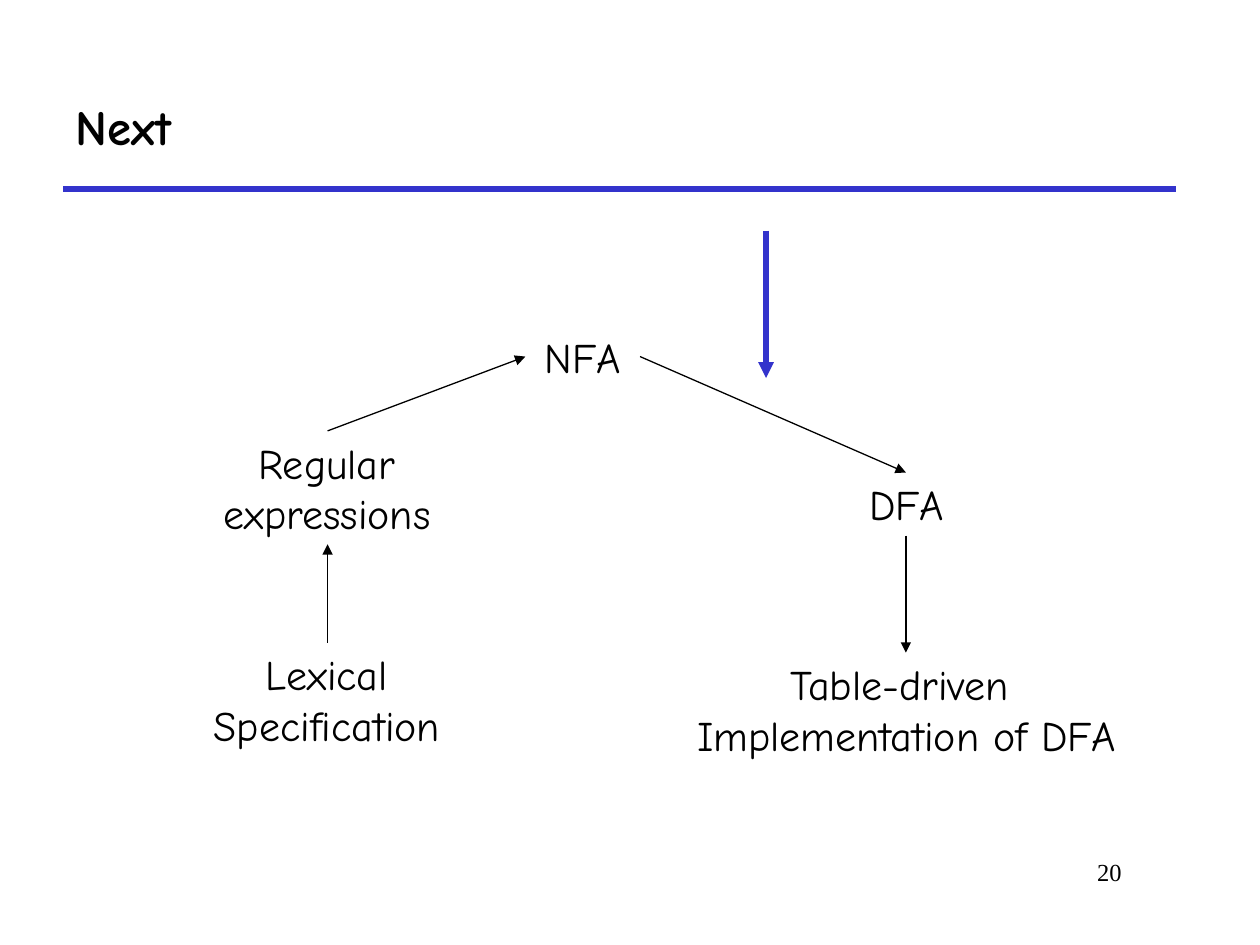
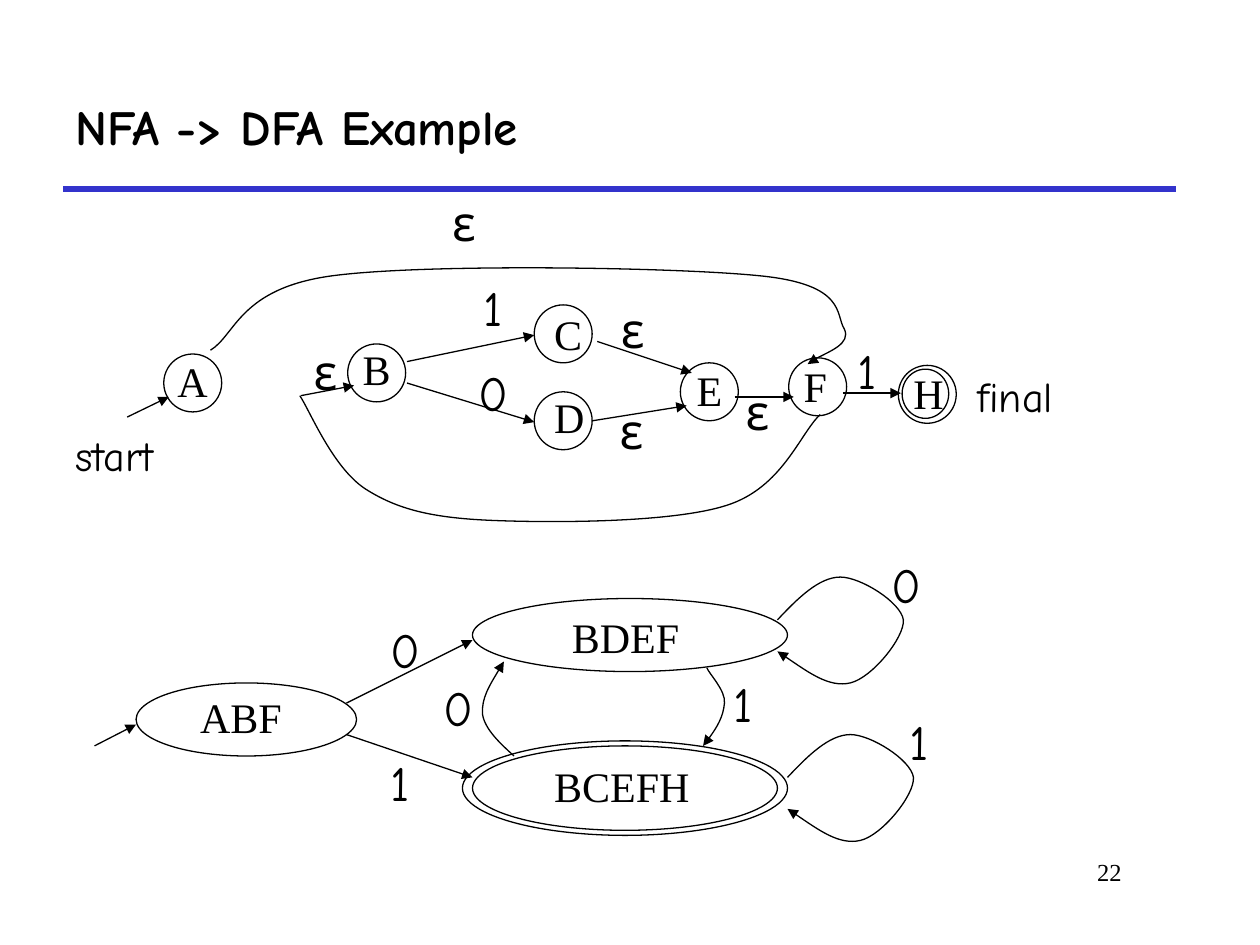
from lxml.etree import SubElement
from pptx import Presentation
from pptx.dml.color import RGBColor
from pptx.enum.shapes import MSO_CONNECTOR, MSO_SHAPE
from pptx.enum.text import MSO_ANCHOR, PP_ALIGN
from pptx.oxml.ns import qn
from pptx.util import Inches, Pt

COLORS = {"ink": "000000", "accent": "3333CC"}
HAND, SERIF = "Comic Neue", "Times New Roman"
WIDTH, HEIGHT = Inches(10), Inches(7.5)
COLUMN = WIDTH / 10
ROW = HEIGHT / 7.5
CIRCLE = 0.46
SYMBOL_WIDTHS = {"0": 0.44, "1": 0.38, "ε": 0.37}


def across(columns):
    return round(columns * COLUMN)


def down(rows):
    return round(rows * ROW)


def add_text(page, words, left, top, width, height, font=HAND, size=24,
             align=PP_ALIGN.LEFT, anchor=MSO_ANCHOR.TOP, bold=False, wrap=False):
    box = page.shapes.add_textbox(across(left), down(top), across(width), down(height))
    frame = box.text_frame
    frame.word_wrap = wrap
    frame.vertical_anchor = anchor
    frame.text = words
    for para in frame.paragraphs:
        para.alignment = align
        para.font.name = font
        para.font.size = Pt(size)
        para.font.bold = bold
        para.font.color.rgb = RGBColor.from_string(COLORS["ink"])


def style_line(line, color="ink", weight=0.75, arrow=True):
    line.color.rgb = RGBColor.from_string(COLORS[color])
    line.width = Pt(weight)
    if arrow:
        SubElement(line._get_or_add_ln(), qn("a:tailEnd"), type="triangle")


def add_line(page, start, end, color="ink", weight=0.75, arrow=True):
    connector = page.shapes.add_connector(
        MSO_CONNECTOR.STRAIGHT, across(start[0]), down(start[1]), across(end[0]), down(end[1]))
    style_line(connector.line, color, weight, arrow)
    SubElement(connector._element.spPr, qn("a:effectLst"))


def add_curve(page, points, arrow=True):
    first, *rest = [(across(x), down(y)) for x, y in points]
    builder = page.shapes.build_freeform(*first)
    builder.add_line_segments(rest, close=False)
    curve = builder.convert_to_shape()
    curve.shadow.inherit = False
    curve.fill.background()
    style_line(curve.line, arrow=arrow)
    segments = list(curve._element.iter(qn("a:lnTo")))
    for index in range(0, len(segments), 3):
        bezier = segments[index]
        bezier.tag = qn("a:cubicBezTo")
        for extra in segments[index + 1:index + 3]:
            bezier.append(extra[0])
            extra.getparent().remove(extra)


def add_ellipse(page, left, top, width, height):
    ellipse = page.shapes.add_shape(
        MSO_SHAPE.OVAL, across(left), down(top), across(width), down(height))
    ellipse.shadow.inherit = False
    ellipse.fill.background()
    style_line(ellipse.line, arrow=False)


def add_state(page, name, outline, label):
    add_ellipse(page, *outline)
    add_text(page, name, *label, 0.51, font=SERIF)


def add_symbol(page, symbol, left, top):
    add_text(page, symbol, left, top, SYMBOL_WIDTHS[symbol], 0.57, size=28)


def add_page(deck, title, number):
    page = deck.slides.add_slide(deck.slide_layouts[6])
    add_line(page, (0.5, 1.5), (9.33, 1.5), "accent", 3, arrow=False)
    add_text(page, str(number), 7.58, 6.75, 1.42, 0.5, SERIF, 14, PP_ALIGN.RIGHT, wrap=True)
    add_text(page, title, 0.5, 0.5, 8.83, 1, size=28,
             anchor=MSO_ANCHOR.MIDDLE, bold=True, wrap=True)
    return page


def build_roadmap(deck):
    page = add_page(deck, "Next", 20)
    stages = [
        ("Regular\nexpressions", 1.58, 3.42, 2.03, 0.9),
        ("NFA", 4.17, 2.58, 0.91, 0.5),
        ("DFA", 6.75, 3.75, 0.89, 0.5),
        ("Lexical\nSpecification", 1.46, 5.1, 2.27, 0.9),
        ("Table-driven \nImplementation of DFA", 5.26, 5.18, 3.87, 0.9),
    ]
    for stage in stages:
        add_text(page, *stage, align=PP_ALIGN.CENTER)
    steps = [
        ((2.6, 5.1), (2.6, 4.32)),
        ((2.6, 3.42), (4.17, 2.83)),
        ((5.08, 2.83), (7.19, 3.75)),
        ((7.19, 4.25), (7.19, 5.18)),
    ]
    for start, end in steps:
        add_line(page, start, end)
    add_line(page, (6.08, 1.83), (6.08, 3), "accent", 3)


def draw_nfa(page):
    states = [
        ("A", 1.3, 2.81, 1.31, 2.77, 0.44),
        ("B", 2.76, 2.73, 2.78, 2.68, 0.42),
        ("C", 4.24, 2.42, 4.3, 2.4, 0.43),
        ("D", 4.24, 3.11, 4.3, 3.06, 0.45),
        ("E", 5.4, 2.88, 5.43, 2.84, 0.41),
        ("F", 6.26, 2.84, 6.28, 2.81, 0.39),
        ("H", 7.13, 2.9, 7.15, 2.87, 0.44),
    ]
    for name, left, top, *label in states:
        add_state(page, name, (left, top, CIRCLE, CIRCLE), label)
    add_ellipse(page, 7.16, 2.93, 0.37, 0.39)

    moves = [
        ((1.01, 3.31), (1.34, 3.15)),
        ((2.39, 3.14), (2.81, 3.06)),
        ((3.23, 2.87), (4.24, 2.66)),
        ((3.23, 3.04), (4.24, 3.35)),
        ((4.74, 2.71), (5.49, 2.96)),
        ((4.7, 3.34), (5.45, 3.22)),
        ((5.83, 3.15), (6.3, 3.15)),
        ((6.69, 3.12), (7.15, 3.12)),
    ]
    for start, end in moves:
        add_line(page, start, end)

    skip = [(1.67, 2.78), (1.87, 2.66), (1.9, 2.29), (2.63, 2.19), (3.36, 2.09),
            (5.37, 2.12), (6.04, 2.19), (6.72, 2.26), (6.63, 2.5), (6.7, 2.61),
            (6.76, 2.73), (6.46, 2.84), (6.41, 2.89)]
    repeat = [(2.38, 3.14), (2.46, 3.26), (2.64, 3.71), (2.9, 3.88), (3.15, 4.04),
              (3.42, 4.11), (3.9, 4.13), (4.38, 4.15), (5.34, 4.15), (5.77, 4.01),
              (6.21, 3.87), (6.35, 3.44), (6.51, 3.29)]
    add_curve(page, skip)
    add_curve(page, repeat, arrow=False)

    symbols = [("ε", 3.49, 1.48), ("ε", 2.39, 2.66), ("1", 3.74, 2.15), ("0", 3.7, 2.83),
               ("ε", 4.83, 2.33), ("ε", 4.82, 3.13), ("ε", 5.82, 2.98), ("1", 6.71, 2.65)]
    for symbol in symbols:
        add_symbol(page, *symbol)
    add_text(page, "start", 0.5, 3.36, 1.01, 0.51)
    add_text(page, "final", 7.66, 2.89, 0.91, 0.51)


def draw_dfa(page):
    states = [
        ("ABF", (1.08, 5.42, 1.75, 0.58), (1.49, 5.44, 0.86)),
        ("BDEF", (3.75, 4.75, 2.5, 0.58), (4.44, 4.8, 1.06)),
        ("BCEFH", (3.75, 5.92, 2.42, 0.67), (4.3, 5.99, 1.29)),
    ]
    for state in states:
        add_state(page, *state)
    add_ellipse(page, 3.67, 5.88, 2.58, 0.75)

    moves = [((0.75, 5.92), (1.08, 5.75)), ((2.75, 5.58), (3.75, 5.08)),
             ((2.75, 5.83), (3.75, 6.17))]
    for start, end in moves:
        add_line(page, start, end)

    self_loop = [(0, 0), (0.16, -0.17), (0.33, -0.34), (0.5, -0.34), (0.66, -0.34),
                 (0.98, -0.14), (1, 0), (1.01, 0.14), (0.75, 0.46), (0.58, 0.5),
                 (0.41, 0.54), (0.21, 0.39), (0, 0.25)]
    for left, top in [(6.17, 4.92), (6.25, 6.17)]:
        add_curve(page, [(left + x, top + y) for x, y in self_loop])
    add_curve(page, [(4.08, 6), (3.97, 5.9), (3.85, 5.79), (3.83, 5.67),
                     (3.82, 5.54), (3.91, 5.4), (4, 5.25)])
    add_curve(page, [(5.61, 5.3), (5.63, 5.35), (5.76, 5.48), (5.75, 5.58),
                     (5.74, 5.69), (5.67, 5.81), (5.58, 5.92)])

    symbols = [("0", 3, 4.87), ("1", 3, 5.92), ("0", 6.98, 4.35),
               ("1", 7.12, 5.6), ("0", 3.42, 5.33), ("1", 5.72, 5.3)]
    for symbol in symbols:
        add_symbol(page, *symbol)


def main():
    deck = Presentation()
    deck.slide_width, deck.slide_height = WIDTH, HEIGHT
    build_roadmap(deck)
    example = add_page(deck, "NFA -> DFA Example", 22)
    draw_dfa(example)
    draw_nfa(example)
    deck.save("out.pptx")


if __name__ == "__main__":
    main()
